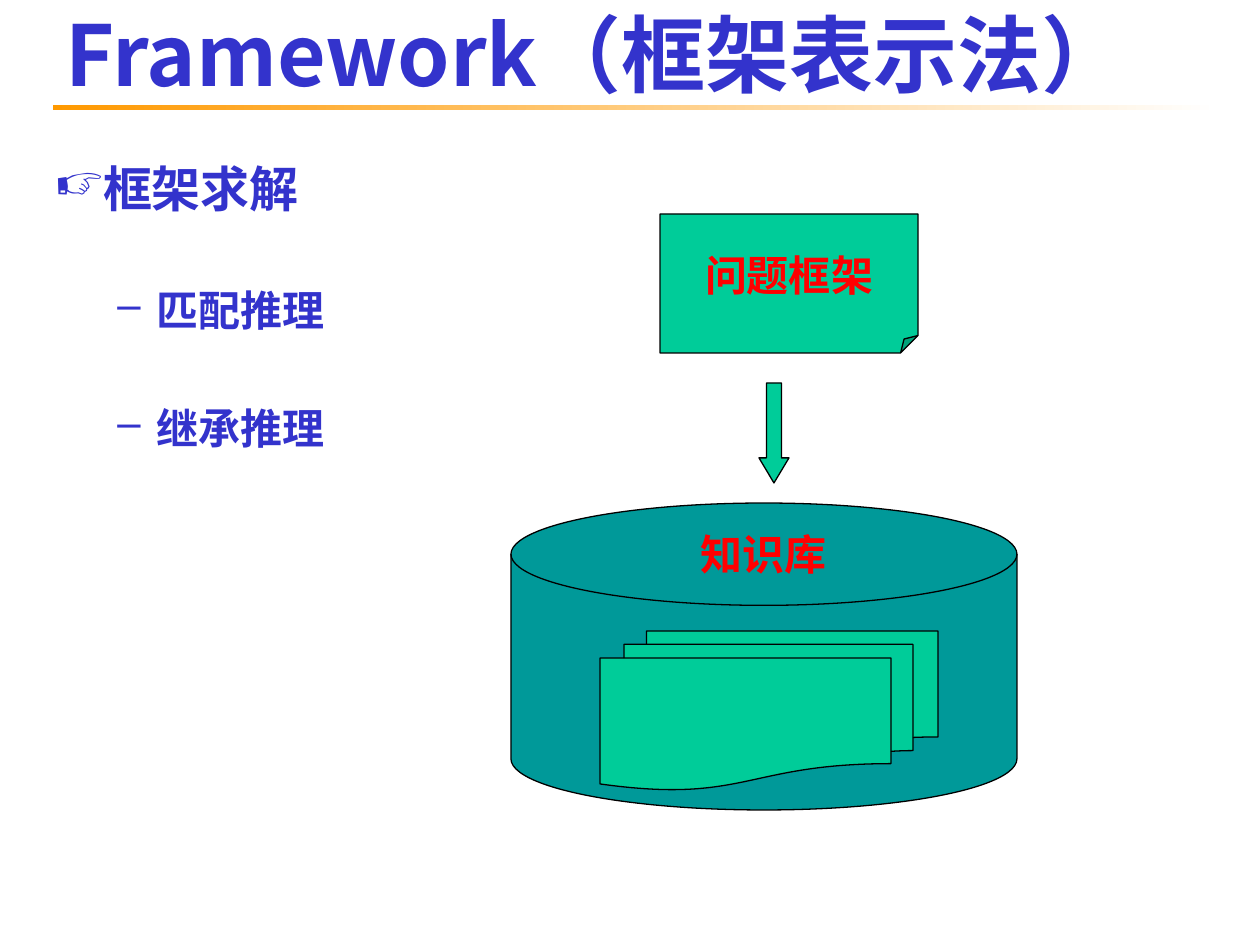
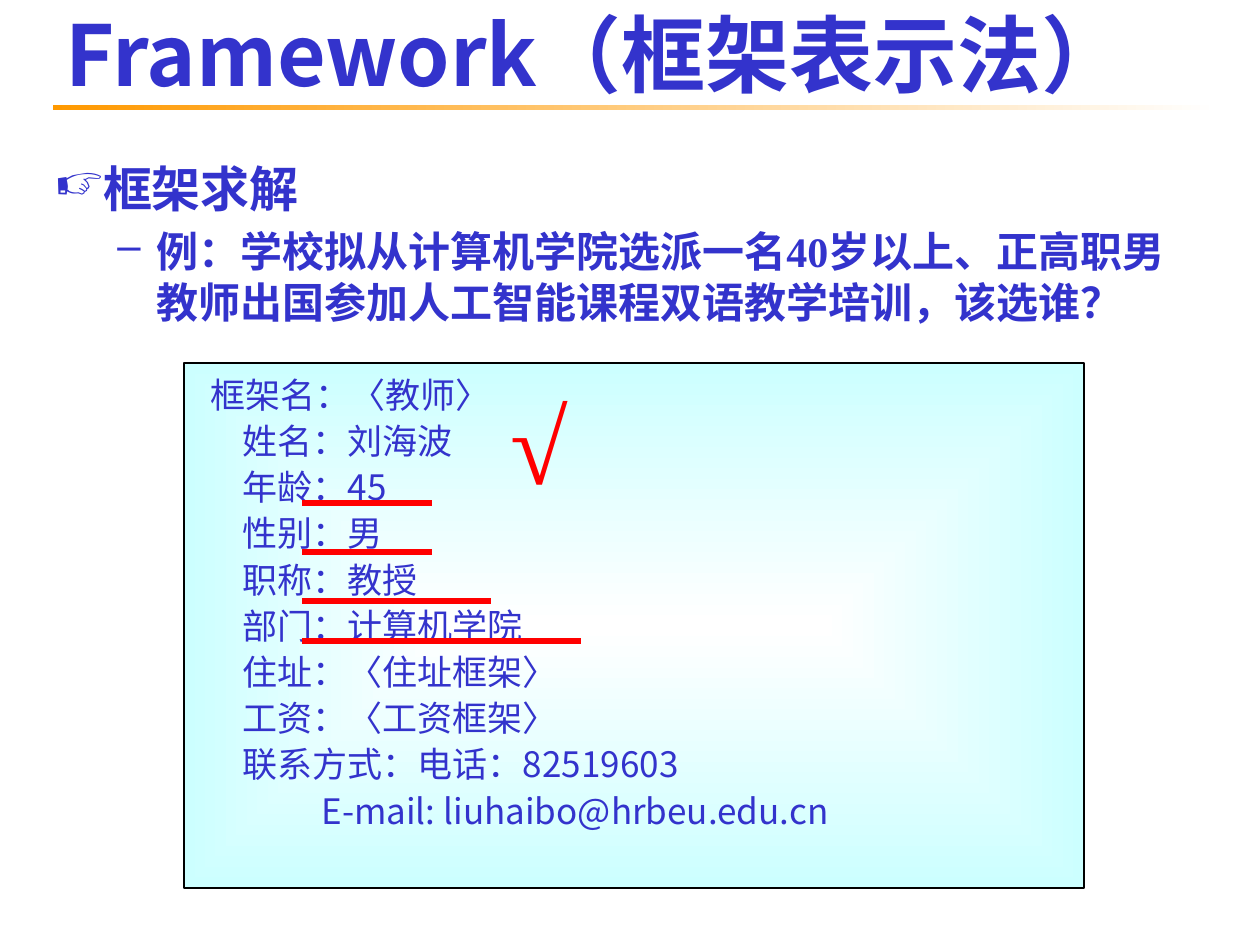
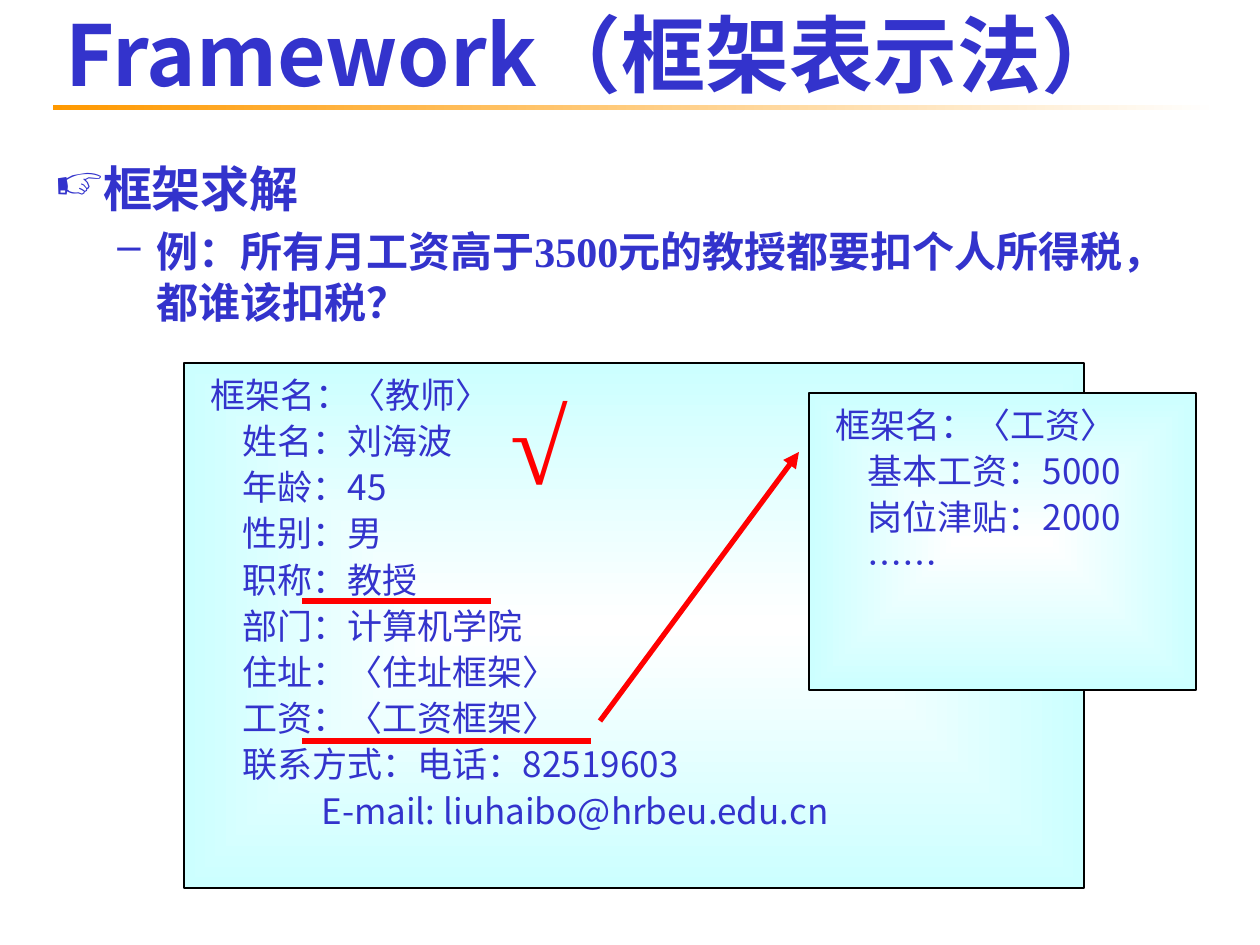
from dataclasses import dataclass
from typing import NamedTuple

from lxml.etree import SubElement
from pptx import Presentation
from pptx.dml.color import RGBColor
from pptx.enum.shapes import MSO_CONNECTOR as CONN, MSO_SHAPE as SHAPE
from pptx.enum.text import MSO_ANCHOR as ANCHOR, MSO_AUTO_SIZE as AUTO, PP_ALIGN as ALIGN
from pptx.oxml.ns import qn
from pptx.util import Emu, Pt

PX_PER_INCH = 126


def px(n: int) -> Emu:
    return Emu(round(n * 914400 / PX_PER_INCH))


@dataclass(frozen=True)
class Theme:
    ink: str = "3333CC"
    accent: str = "FF0000"
    outline: str = "000000"
    paper: str = "FFFFFF"
    band: str = "FF9900"
    panel: str = "CCFFFF"
    disk: str = "009999"
    card: str = "00CC99"
    sans: str = "Noto Sans CJK SC"
    serif: str = "Times New Roman"
    title_pt: int = 48
    head_pt: int = 28
    item_pt: int = 24
    slot_pt: int = 20
    tick_pt: int = 60
    outline_pt: float = 0.75
    mark_pt: float = 3


T = Theme()


class Box(NamedTuple):
    x: int
    y: int
    w: int
    h: int


class Level(NamedTuple):
    bullet: str
    size: int
    margin: int
    hang: int


class Slot(NamedTuple):
    text: str
    indent: int = 46


class Underline(NamedTuple):
    y: int
    right: int


class Frame(NamedTuple):
    box: Box
    slots: list[Slot]


TITLE = "Framework（框架表示法）"
HEADING = "框架求解"
HEAD = Level("☞", T.head_pt, 48, 48)
ITEM = Level("–", T.item_pt, 102, 39)
TIGHT_GAP, WIDE_GAP = 8, 67
MARK_LEFT = 302

TEACHER = Frame(Box(184, 363, 900, 525), [
    Slot("框架名：〈教师〉", 14),
    Slot("姓名：刘海波"),
    Slot("年龄：45"),
    Slot("性别：男"),
    Slot("职称：教授"),
    Slot("部门：计算机学院"),
    Slot("住址：〈住址框架〉"),
    Slot("工资：〈工资框架〉"),
    Slot("联系方式：电话：82519603"),
    Slot("E-mail: liuhaibo@hrbeu.edu.cn", 125),
])
SALARY = Frame(Box(809, 393, 387, 297), [
    Slot("框架名：〈工资〉", 14),
    Slot("基本工资：5000"),
    Slot("岗位津贴：2000"),
    Slot("……"),
])


# Text and paint helpers
def style(p, size: int, color: str, name: str, bold: bool = False) -> None:
    for r in p.runs:
        r.font.size = Pt(size)
        r.font.bold = bold
        r.font.name = name
        r.font.color.rgb = RGBColor.from_string(color)
        if name == T.sans:
            SubElement(r._r.get_or_add_rPr(), qn("a:ea"), typeface=name)


def set_indent(p, margin: int, hang: int = 0, bullet: str = "") -> None:
    pPr = p._p.get_or_add_pPr()
    pPr.set("marL", str(px(margin)))
    pPr.set("indent", str(-px(hang)))
    if bullet:
        SubElement(pPr, qn("a:buChar"), char=bullet)


def add_paragraph(tf, i: int):
    return tf.paragraphs[0] if i == 0 else tf.add_paragraph()


def add_shape(slide, kind, box: Box, fill: str = ""):
    sp = slide.shapes.add_shape(kind, *map(px, box))
    sp.shadow.inherit = False
    sp.line.color.rgb = RGBColor.from_string(T.outline)
    sp.line.width = Pt(T.outline_pt)
    if fill:
        sp.fill.solid()
        sp.fill.fore_color.rgb = RGBColor.from_string(fill)
    return sp


def set_adjustments(sp, **values: int) -> None:
    guides = sp._element.spPr.find(qn("a:prstGeom")).find(qn("a:avLst"))
    for guide in list(guides):
        guides.remove(guide)
    for name, value in values.items():
        SubElement(guides, qn("a:gd"), name=name, fmla=f"val {value}")


def set_gradient(sp, start: str, end: str, from_centre: bool = False) -> None:
    sp.fill.gradient()
    sp.fill.gradient_angle = 0
    for stop, color in zip(sp.fill.gradient_stops, (start, end)):
        stop.color.rgb = RGBColor.from_string(color)
    if from_centre:
        grad = sp._element.spPr.find(qn("a:gradFill"))
        grad.remove(grad.find(qn("a:lin")))
        path = SubElement(grad, qn("a:path"), path="shape")
        SubElement(path, qn("a:fillToRect"), {side: "50000" for side in "ltrb"})


def add_textbox(slide, box: Box):
    tf = slide.shapes.add_textbox(*map(px, box)).text_frame
    tf.word_wrap = True
    return tf


def set_label(tf, text: str) -> None:
    tf.text = text
    tf.vertical_anchor = ANCHOR.MIDDLE
    p = tf.paragraphs[0]
    p.alignment = ALIGN.CENTER
    style(p, T.item_pt, T.accent, T.serif, bold=True)


# Parts shared by the slides
def add_slide(prs, items: list[str], gap: int):
    slide = prs.slides.add_slide(prs.slide_layouts[5])
    band = add_shape(slide, SHAPE.RECTANGLE, Box(53, 105, 1165, 5))
    set_gradient(band, T.band, T.paper)
    band.line.fill.background()

    title = slide.shapes.title
    title.left, title.top, title.width, title.height = map(px, Box(53, 0, 1207, 105))
    tf = title.text_frame
    tf.text = TITLE
    tf.auto_size = AUTO.NONE
    tf.vertical_anchor = ANCHOR.MIDDLE
    tf.paragraphs[0].alignment = ALIGN.LEFT
    style(tf.paragraphs[0], T.title_pt, T.ink, T.sans, bold=True)

    tf = add_textbox(slide, Box(42, 147, 1176, 766))
    tf.margin_top = px(12)
    for i, text in enumerate([HEADING, *items]):
        level = ITEM if i else HEAD
        p = add_paragraph(tf, i)
        p.text = text
        if i:
            p.space_before = px(gap)
        set_indent(p, level.margin, level.hang, level.bullet)
        style(p, level.size, T.ink, T.serif, bold=True)
    return slide


def add_frame(slide, frame: Frame) -> None:
    sp = add_shape(slide, SHAPE.RECTANGLE, frame.box)
    set_gradient(sp, T.paper, T.panel, from_centre=True)
    tf = sp.text_frame
    tf.vertical_anchor = ANCHOR.TOP
    for i, slot in enumerate(frame.slots):
        p = add_paragraph(tf, i)
        p.text = slot.text
        p.alignment = ALIGN.LEFT
        p.line_spacing = 1.1
        set_indent(p, slot.indent)
        style(p, T.slot_pt, T.ink, T.sans)


def add_mark(slide, x1: int, y1: int, x2: int, y2: int, arrow: bool = False) -> None:
    line = slide.shapes.add_connector(CONN.STRAIGHT, *map(px, (x1, y1, x2, y2)))
    line.line.color.rgb = RGBColor.from_string(T.accent)
    line.line.width = Pt(T.mark_pt)
    if arrow:
        SubElement(line.line._get_or_add_ln(), qn("a:tailEnd"), type="triangle")
    SubElement(line._element.spPr, qn("a:effectLst"))


def add_teacher(slide, underlines: list[Underline]) -> None:
    add_frame(slide, TEACHER)
    for u in underlines:
        add_mark(slide, MARK_LEFT, u.y, u.right, u.y)
    tf = add_textbox(slide, Box(498, 373, 203, 139))
    tf.text = "√"
    style(tf.paragraphs[0], T.tick_pt, T.accent, T.serif)


# Slides
def build_reasoning(prs) -> None:
    slide = add_slide(prs, ["匹配推理", "继承推理"], WIDE_GAP)
    disk = Box(511, 503, 506, 307)
    add_shape(slide, SHAPE.FLOWCHART_MAGNETIC_DISK, disk, T.disk)
    lid = disk._replace(h=disk.h // 3)
    set_label(add_textbox(slide, lid), "知识库")

    arrow = add_shape(slide, SHAPE.DOWN_ARROW, Box(759, 383, 30, 100), T.card)
    set_adjustments(arrow, adj1=50000, adj2=83500)
    add_shape(slide, SHAPE.FLOWCHART_MULTIDOCUMENT, Box(600, 631, 338, 159), T.card)
    card = add_shape(slide, SHAPE.FOLDED_CORNER, Box(660, 214, 258, 139), T.card)
    set_adjustments(card, adj=12500)
    set_label(card.text_frame, "问题框架")


def build_selection(prs) -> None:
    question = "例：学校拟从计算机学院选派一名40岁以上、正高职男教师出国参加人工智能课程双语教学培训，该选谁？"
    slide = add_slide(prs, [question], TIGHT_GAP)
    add_teacher(slide, [Underline(503, 432), Underline(552, 432),
                        Underline(601, 491), Underline(641, 581)])


def build_taxation(prs) -> None:
    question = "例：所有月工资高于3500元的教授都要扣个人所得税，都谁该扣税？"
    slide = add_slide(prs, [question], TIGHT_GAP)
    add_teacher(slide, [Underline(601, 491), Underline(741, 591)])
    add_frame(slide, SALARY)
    add_mark(slide, 600, 721, 799, 452, arrow=True)


def main() -> None:
    prs = Presentation()
    prs.slide_width, prs.slide_height = px(1260), px(945)
    build_reasoning(prs)
    build_selection(prs)
    build_taxation(prs)
    prs.save("out.pptx")


if __name__ == "__main__":
    main()
